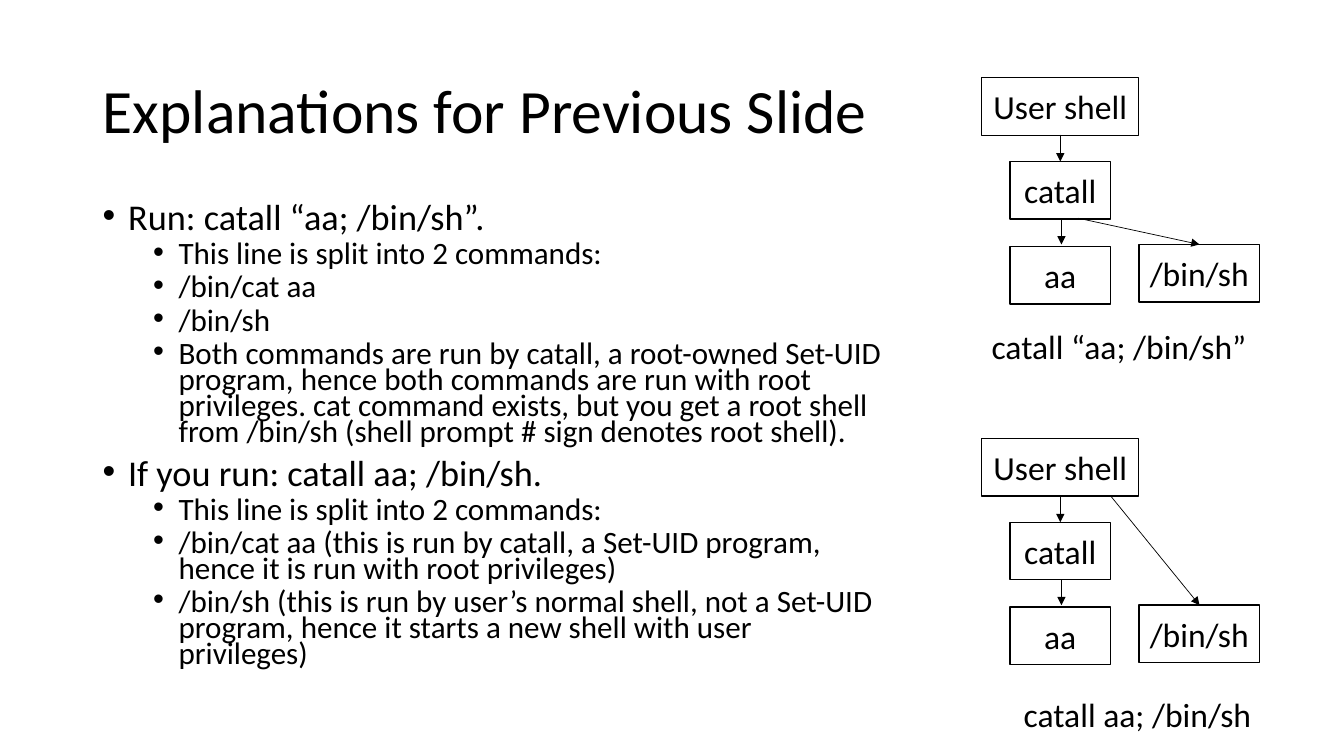
from dataclasses import dataclass

from lxml import etree
from pptx import Presentation
from pptx import util as u
from pptx.dml.color import RGBColor
from pptx.enum import shapes, text
from pptx.oxml import ns

TITLE = "Explanations for Previous Slide"
OUTLINE = [
    ("Run: catall “aa; /bin/sh”.", [
        "This line is split into 2 commands:",
        "/bin/cat aa",
        "/bin/sh",
        "Both commands are run by catall, a root-owned Set-UID program, hence both commands "
        "are run with root privileges. cat command exists, but you get a root shell from "
        "/bin/sh (shell prompt # sign denotes root shell).",
    ]),
    ("If you run: catall aa; /bin/sh.", [
        "This line is split into 2 commands:",
        "/bin/cat aa (this is run by catall, a Set-UID program, hence it is run with root "
        "privileges)",
        "/bin/sh (this is run by user’s normal shell, not a Set-UID program, hence it starts "
        "a new shell with user privileges)",
    ]),
]
BOX_HEIGHT = 1.45
PROCESSES = [
    ("User shell", 24.74, 0, 3.96),
    ("catall", 25.45, 2.11, 2.54),
    ("aa", 25.45, 4.25, 2.54),
    ("/bin/sh", 28.7, 4.2, 3.05),
]
CALLS = [(26.72, 1.43, 26.72, 2.11), (26.75, 3.54, 26.75, 4.2)]
DIAGRAMS = [
    {"top": 1.96, "shell_call": (27.18, 3.54, 30.23, 4.2),
     "caption": ("catall “aa; /bin/sh”", 24.74, 8.08, 6.99)},
    {"top": 11.05, "shell_call": (28, 1.46, 30.23, 4.2),
     "caption": ("catall aa; /bin/sh", 25.55, 17.35, 6.3)},
]


@dataclass(frozen=True)
class Theme:
    """Colours, font and type sizes of the slide."""
    ink: RGBColor = RGBColor(0, 0, 0)
    paper: RGBColor = RGBColor(255, 255, 255)
    font: str = "Calibri"
    title: float = 44
    levels: tuple = (25.9, 22.2)
    diagram: float = 24


THEME = Theme()


def add_run(paragraph, words, size):
    """Add one run in the slide's font and ink."""
    run = paragraph.add_run()
    run.text = words
    run.font.name = THEME.font
    run.font.size = u.Pt(size)
    run.font.color.rgb = THEME.ink


def place(shape, left, top, width, height):
    """Move and size a shape in centimetres."""
    shape.left, shape.top, shape.width, shape.height = map(u.Cm, (left, top, width, height))


def add_title(slide):
    """Format the title placeholder."""
    title = slide.shapes.title
    place(title, 2.34, 1.02, 29.21, 3.68)
    frame = title.text_frame
    frame.vertical_anchor = text.MSO_ANCHOR.MIDDLE
    paragraph = frame.paragraphs[0]
    paragraph.alignment = text.PP_ALIGN.LEFT
    paragraph.line_spacing = 0.9
    add_run(paragraph, TITLE, THEME.title)


def add_bullet(paragraph, level):
    """Give a paragraph a hanging bullet."""
    properties = paragraph._p.get_or_add_pPr()
    properties.set("marL", str(u.Cm((0.64, 1.91)[level])))
    properties.set("indent", str(-u.Cm(0.64)))
    etree.SubElement(properties, ns.qn("a:buFont"), typeface="Arial")
    etree.SubElement(properties, ns.qn("a:buChar"), char="•")


def add_outline(slide):
    """Add the two-level bulleted explanation."""
    frame = slide.shapes.add_textbox(*map(u.Cm, (2.34, 5.08, 20.29, 12.09))).text_frame
    frame.word_wrap = True
    lines = [(words, level) for heading, points in OUTLINE
             for words, level in [(heading, 0)] + [(point, 1) for point in points]]
    for index, (words, level) in enumerate(lines):
        paragraph = frame.add_paragraph() if index else frame.paragraphs[0]
        add_bullet(paragraph, level)
        paragraph.level = level
        paragraph.line_spacing = 0.7
        paragraph.space_before = u.Pt((10, 5)[level] if index else 0)
        add_run(paragraph, words, THEME.levels[level])


def add_process(slide, name, left, top, width):
    """Add one outlined process box."""
    box = slide.shapes.add_shape(
        shapes.MSO_SHAPE.RECTANGLE, *map(u.Cm, (left, top, width, BOX_HEIGHT)))
    box.shadow.inherit = False
    box.fill.solid()
    box.fill.fore_color.rgb = THEME.paper
    box.line.color.rgb = THEME.ink
    box.line.width = u.Pt(1)
    frame = box.text_frame
    frame.word_wrap = False
    frame.vertical_anchor = text.MSO_ANCHOR.MIDDLE
    paragraph = frame.paragraphs[0]
    paragraph.alignment = text.PP_ALIGN.CENTER
    add_run(paragraph, name, THEME.diagram)


def add_arrow(slide, start_x, start_y, end_x, end_y):
    """Add one thin arrow."""
    arrow = slide.shapes.add_connector(
        shapes.MSO_CONNECTOR.STRAIGHT, *map(u.Cm, (start_x, start_y, end_x, end_y)))
    arrow.line.color.rgb = THEME.ink
    arrow.line.width = u.Pt(0.5)
    etree.SubElement(arrow.line._get_or_add_ln(), ns.qn("a:tailEnd"), type="triangle")
    etree.SubElement(arrow._element.spPr, ns.qn("a:effectLst"))


def add_diagram(slide, top, shell_call, caption):
    """Add one process tree with its caption."""
    for name, left, offset, width in PROCESSES:
        add_process(slide, name, left, top + offset, width)
    for start_x, start_y, end_x, end_y in CALLS + [shell_call]:
        add_arrow(slide, start_x, top + start_y, end_x, top + end_y)
    words, left, caption_top, width = caption
    frame = slide.shapes.add_textbox(*map(u.Cm, (left, caption_top, width, 1.27))).text_frame
    frame.word_wrap = False
    frame.auto_size = text.MSO_AUTO_SIZE.SHAPE_TO_FIT_TEXT
    add_run(frame.paragraphs[0], words, THEME.diagram)


def main():
    """Build and save the slide."""
    presentation = Presentation()
    presentation.slide_width, presentation.slide_height = u.Cm(33.87), u.Cm(19.05)
    slide = presentation.slides.add_slide(presentation.slide_layouts.get_by_name("Title Only"))
    add_title(slide)
    add_outline(slide)
    for diagram in DIAGRAMS:
        add_diagram(slide, **diagram)
    presentation.save("out.pptx")


if __name__ == "__main__":
    main()
